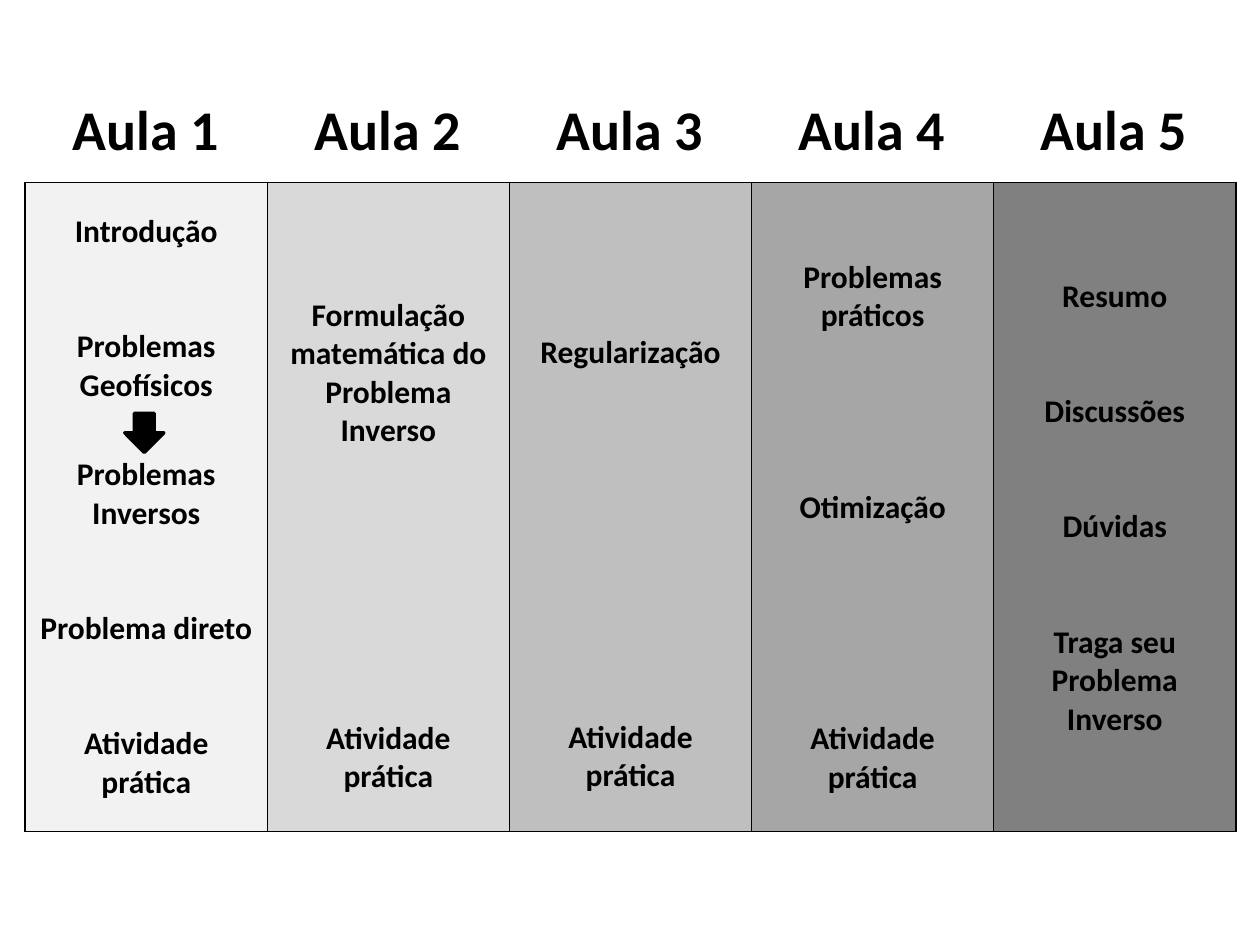
from dataclasses import dataclass

from lxml import etree
from pptx import Presentation
from pptx import util as u
from pptx.dml.color import RGBColor
from pptx.enum import shapes, text
from pptx.oxml import ns


@dataclass(frozen=True)
class Theme:
    """Colours and type sizes of the slide."""
    font: str = "Calibri"
    ink: str = "000000"
    columns: tuple = ("F2F2F2", "D9D9D9", "BFBFBF", "A6A6A6", "808080")
    heading: int = 32
    body: int = 18
    line: float = 21.97
    border: int = 1
    arrow_line: int = 2


THEME = Theme()
PRACTICE = "Atividade prática"
LESSONS = [
    ("Aula 1", 0.235, [("Introdução", 0), ("Problemas Geofísicos", 2),
                       ("Problemas Inversos", 1.33), ("Problema direto", 2),
                       (PRACTICE, 2)]),
    ("Aula 2", 0.9, [("Formulação matemática do Problema Inverso", 0),
                     (PRACTICE, 7)]),
    ("Aula 3", 1.2, [("Regularização", 0), (PRACTICE, 9)]),
    ("Aula 4", 0.6, [("Problemas práticos", 0), ("Otimização", 4),
                     (PRACTICE, 5)]),
    ("Aula 5", 0.75, [("Resumo", 0), ("Discussões", 2), ("Dúvidas", 2),
                      ("Traga seu Problema Inverso", 2)]),
]


def write(p, words, size):
    """Write one centred bold paragraph."""
    p.alignment = text.PP_ALIGN.CENTER
    r = p.add_run()
    r.text = words
    style = {"name": THEME.font, "size": u.Pt(size), "bold": True}
    for name, value in style.items():
        setattr(r.font, name, value)
    r.font.color.rgb = RGBColor.from_string(THEME.ink)


def paint(fill, colour):
    """Give a fill one solid colour."""
    fill.solid()
    fill.fore_color.rgb = RGBColor.from_string(colour)


def add_borders(cell):
    """Draw a line on all four sides of a cell."""
    tc_pr = cell._tc.get_or_add_tcPr()
    for i, side in enumerate(("lnL", "lnR", "lnT", "lnB")):
        ln = etree.Element(ns.qn(f"a:{side}"), w=str(u.Pt(THEME.border)))
        fill = etree.SubElement(ln, ns.qn("a:solidFill"))
        etree.SubElement(fill, ns.qn("a:srgbClr"), val=THEME.ink)
        tc_pr.insert(i, ln)


def add_topics(cell, top, topics, colour):
    """Fill a lesson's cell, with gaps counted in lines."""
    cell.margin_top = u.Inches(top)
    cell.vertical_anchor = text.MSO_ANCHOR.TOP
    paint(cell.fill, colour)
    add_borders(cell)
    tf = cell.text_frame
    for i, (words, gap) in enumerate(topics):
        p = tf.add_paragraph() if i else tf.paragraphs[0]
        if gap:
            p.space_before = u.Pt(round(gap * THEME.line, 2))
        write(p, words, THEME.body)


def add_schedule(s, x, y, w, h):
    """Place the table of lessons, one per column."""
    table = s.shapes.add_table(1, len(LESSONS), x, y, w, h).table
    table.first_row = table.horz_banding = False
    for i, (_, top, topics) in enumerate(LESSONS):
        add_topics(table.cell(0, i), top, topics, THEME.columns[i])


def add_arrow(s, x, y, w, h):
    """Place the arrow between two topics."""
    sp = s.shapes.add_shape(shapes.MSO_SHAPE.DOWN_ARROW, x, y, w, h)
    sp.shadow.inherit = False
    paint(sp.fill, THEME.ink)
    paint(sp.line.fill, THEME.ink)
    sp.line.width = u.Pt(THEME.arrow_line)


def add_headings(s, x, y, w, h):
    """Place one heading above each column."""
    pitch = w // len(LESSONS)
    for i, (words, _, _) in enumerate(LESSONS):
        sp = s.shapes.add_textbox(x + i * pitch, y, u.Inches(1.9), h)
        tf = sp.text_frame
        tf.word_wrap = True
        tf.auto_size = text.MSO_AUTO_SIZE.SHAPE_TO_FIT_TEXT
        write(tf.paragraphs[0], words, THEME.heading)


def main():
    """Build and save the slide."""
    prs = Presentation()
    prs.slide_width, prs.slide_height = u.Inches(10), u.Inches(7.5)
    s = prs.slides.add_slide(prs.slide_layouts[6])
    regions = [
        (add_schedule, (0.2, 1.45, 9.61, 5.15)),
        (add_arrow, (0.99, 3.28, 0.31, 0.31)),
        (add_headings, (0.21, 0.7, 9.6, 0.64)),
    ]
    for place, box in regions:
        place(s, *map(u.Inches, box))
    prs.save("out.pptx")


if __name__ == "__main__":
    main()
